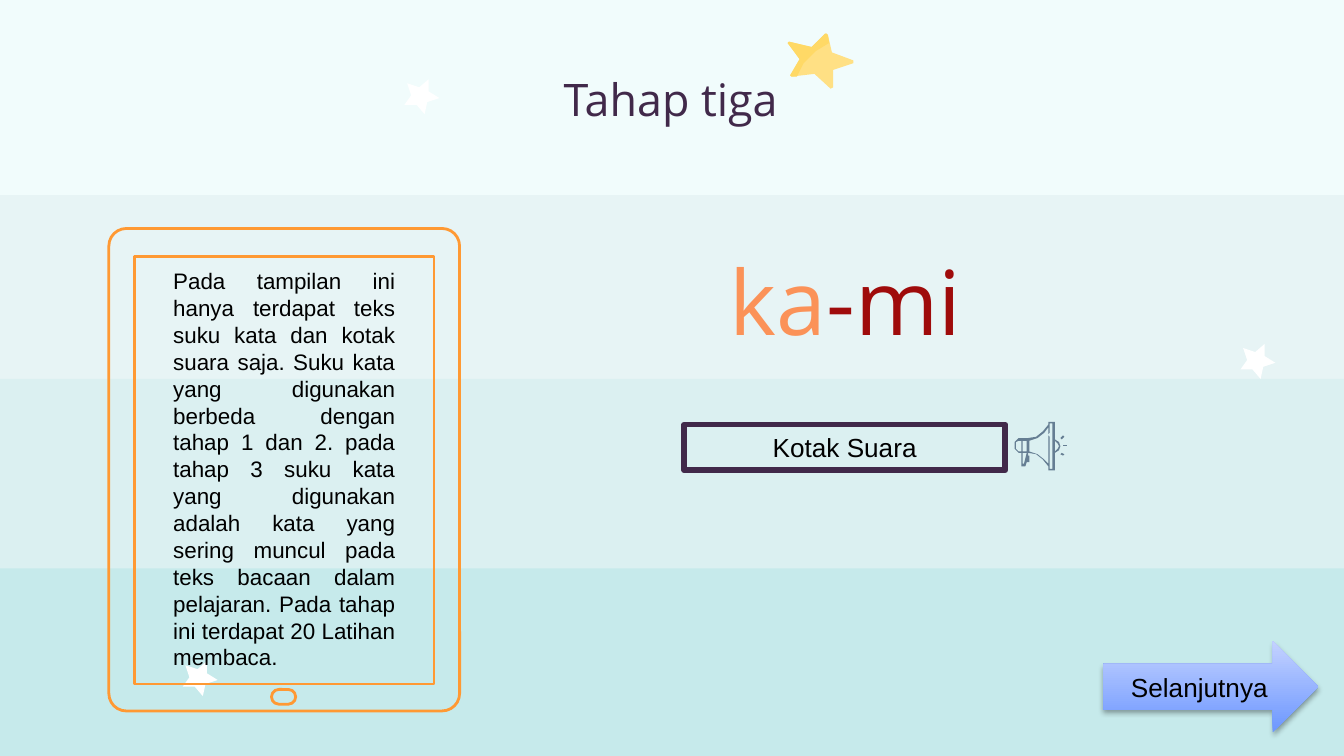
from dataclasses import dataclass
from typing import Optional

import pptx
import pptx.dml.color
import pptx.enum.shapes
import pptx.enum.text
import pptx.oxml
import pptx.oxml.ns
import pptx.util

PX = 9144  # EMU in one px, 100 px to the inch
SHAPE = pptx.enum.shapes.MSO_SHAPE
ALIGN = pptx.enum.text.PP_ALIGN
ANCHOR = pptx.enum.text.MSO_ANCHOR

Point = tuple[int, int]
Contour = list[Point]


@dataclass(frozen=True)
class Theme:
    background: str = "E7F4F5"
    band_top: str = "F1FCFC"
    band_middle: str = "DBF0F1"
    band_bottom: str = "C6EAEB"
    white: str = "FFFFFF"
    star_light: str = "FFE084"
    star_dark: str = "FFD966"
    plum: str = "41294A"
    orange: str = "FB9258"
    red: str = "9F0B0B"
    black: str = "000000"
    speaker: str = "657E93"
    tablet: str = "FF9933"
    arrow_start: str = "6C97FF"
    arrow_end: str = "C4D2FF"
    heading_font: str = "Open Sans"
    body_font: str = "Arial"
    title_size: int = 24
    syllable_size: int = 48
    label_size: int = 14
    body_size: int = 12


THEME = Theme()


@dataclass(frozen=True)
class Box:
    left: int
    top: int
    width: int
    height: int
    kind: SHAPE = SHAPE.RECTANGLE
    fill: Optional[str] = None
    line: Optional[str] = None
    line_width: float = 1.5
    corner: Optional[float] = None


@dataclass(frozen=True)
class Text:
    runs: list[tuple[str, str]]
    font: str
    size: int
    align: ALIGN = ALIGN.CENTER
    anchor: ANCHOR = ANCHOR.TOP
    inset: Point = (10, 5)


BANDS = [
    Box(-1, 282, 1007, 144, fill=THEME.band_middle),
    Box(-1, 423, 1007, 144, fill=THEME.band_bottom),
    Box(-1, -3, 1007, 148, fill=THEME.band_top),
]
TABLET = [
    Box(81, 170, 261, 359, SHAPE.ROUNDED_RECTANGLE, line=THEME.tablet, corner=0.05),
    Box(100, 191, 223, 318, line=THEME.tablet),
    Box(202, 513, 18, 11, SHAPE.ROUNDED_RECTANGLE, line=THEME.tablet, corner=0.5),
]
WHITE_STARS = [(136, 492), (923, 256), (301, 59)]
WHITE_STAR: Contour = [(18, 0), (18, 9), (26, 14), (17, 17), (15, 26),
                       (9, 19), (0, 19), (5, 12), (2, 3), (11, 6)]
STAR_LEFT: Contour = [(615, 25), (614, 25), (604, 35), (587, 31), (586, 32),
                      (595, 44), (588, 56), (589, 57)]
STAR_BODY: Contour = STAR_LEFT + [(606, 55), (618, 66), (620, 65), (620, 52),
                                  (635, 47), (635, 45), (619, 39), (616, 26)]
STAR_SHADE: Contour = STAR_LEFT + [(593, 57), (598, 47), (607, 38), (617, 32), (616, 26)]

# The first contour is the outline, the others are holes in it.
SPEAKER: list[Contour] = [
    [(780, 314), (780, 316), (776, 321), (771, 325), (765, 326), (758, 326),
     (755, 329), (755, 334), (758, 337), (760, 337), (760, 347), (763, 347),
     (764, 344), (766, 344), (766, 339), (765, 339), (765, 337), (771, 338),
     (776, 342), (780, 347), (780, 350), (785, 350), (785, 337), (788, 335),
     (789, 332), (788, 329), (785, 327), (785, 314)],
    [(785, 328), (787, 330), (788, 332), (787, 334), (785, 336)],
    [(760, 328), (760, 336), (758, 336), (756, 334), (756, 329), (758, 328)],
    [(764, 328), (764, 336), (761, 336), (761, 328)],
    [(764, 337), (762, 345), (761, 345), (761, 337)],
    [(783, 315), (783, 349), (781, 349), (781, 325), (780, 324), (780, 345),
     (777, 342), (772, 338), (766, 336), (766, 328), (772, 326), (777, 322),
     (780, 318), (780, 323), (781, 322), (781, 315)],
]
SOUND_RAYS: list[Contour] = [
    [(791, 331), (791, 332), (794, 332), (794, 331)],
    [(791, 324), (789, 326), (790, 327), (792, 325)],
    [(790, 337), (789, 338), (791, 339), (792, 338)],
]


def color(value: str) -> pptx.dml.color.RGBColor:
    return pptx.dml.color.RGBColor.from_string(value)


def paint(shape, fill: Optional[str], line: Optional[str] = None, width: float = 1.5) -> None:
    shape.shadow.inherit = False
    if fill:
        shape.fill.solid()
        shape.fill.fore_color.rgb = color(fill)
    else:
        shape.fill.background()
    if line:
        shape.line.color.rgb = color(line)
        shape.line.width = pptx.util.Pt(width)
    else:
        shape.line.fill.background()


def add_box(slide, box: Box):
    shape = slide.shapes.add_shape(
        box.kind, box.left * PX, box.top * PX, box.width * PX, box.height * PX)
    if box.corner is not None:
        shape.adjustments[0] = box.corner
    paint(shape, box.fill, box.line, box.line_width)
    return shape


def add_outline(slide, contours: list[Contour], fill: str) -> None:
    """Draw closed contours as one filled freeform."""
    builder = slide.shapes.build_freeform(*contours[0][0], scale=PX)
    for index, contour in enumerate(contours):
        if index:
            builder.move_to(*contour[0])
        builder.add_line_segments(contour[1:], close=True)
    paint(builder.convert_to_shape(), fill)


def write(shape, text: Text) -> None:
    frame = shape.text_frame
    frame.word_wrap = True
    frame.vertical_anchor = text.anchor
    frame.margin_left = frame.margin_right = text.inset[0] * PX
    frame.margin_top = frame.margin_bottom = text.inset[1] * PX
    paragraph = frame.paragraphs[0]
    paragraph.alignment = text.align
    paragraph.font.name = text.font
    paragraph.font.size = pptx.util.Pt(text.size)
    for words, run_color in text.runs:
        run = paragraph.add_run()
        run.text = words
        run.font.color.rgb = color(run_color)


def add_text(slide, left: int, top: int, width: int, height: int, text: Text) -> None:
    write(slide.shapes.add_textbox(left * PX, top * PX, width * PX, height * PX), text)


def label(words: str, anchor: ANCHOR) -> Text:
    return Text([(words, THEME.black)], THEME.body_font, THEME.label_size, anchor=anchor)


def add_next_arrow(slide) -> None:
    arrow = add_box(slide, Box(821, 477, 160, 68, SHAPE.RIGHT_ARROW))
    arrow.fill.gradient()
    arrow.fill.gradient_angle = 90
    for stop, value in zip(arrow.fill.gradient_stops, (THEME.arrow_start, THEME.arrow_end)):
        stop.color.rgb = color(value)
    effects = arrow.element.spPr.find(pptx.oxml.ns.qn("a:effectLst"))
    effects.append(pptx.oxml.parse_xml(
        f'<a:outerShdw {pptx.oxml.ns.nsdecls("a")} blurRad="39370" dist="22860" '
        f'dir="5400000" rotWithShape="0"><a:srgbClr val="{THEME.black}">'
        '<a:alpha val="35000"/></a:srgbClr></a:outerShdw>'))
    write(arrow, label("Selanjutnya", ANCHOR.MIDDLE))


def main() -> None:
    presentation = pptx.Presentation()
    presentation.slide_width = 1000 * PX
    presentation.slide_height = pptx.util.Inches(5.625)
    slide = presentation.slides.add_slide(presentation.slide_layouts[6])
    slide.background.fill.solid()
    slide.background.fill.fore_color.rgb = color(THEME.background)

    for band in BANDS:
        add_box(slide, band)
    for left, top in WHITE_STARS:
        add_outline(slide, [[(left + x, top + y) for x, y in WHITE_STAR]], THEME.white)

    add_text(slide, 79, 43, 840, 45, Text(
        [("Tahap tiga", THEME.plum)], THEME.heading_font, THEME.title_size, inset=(10, 10)))
    add_outline(slide, [STAR_BODY], THEME.star_light)
    add_outline(slide, [STAR_SHADE], THEME.star_dark)

    add_text(slide, 386, 155, 486, 136, Text(
        [("ka", THEME.orange), ("-mi", THEME.red)], THEME.heading_font,
        THEME.syllable_size, anchor=ANCHOR.MIDDLE, inset=(10, 10)))
    sound_box = add_box(slide, Box(509, 316, 239, 34, line=THEME.plum, line_width=3))
    write(sound_box, label("Kotak Suara", ANCHOR.TOP))
    add_next_arrow(slide)

    for contours in [SPEAKER, *([ray] for ray in SOUND_RAYS)]:
        add_outline(slide, contours, THEME.speaker)
    for part in TABLET:
        add_box(slide, part)
    add_text(slide, 119, 194, 185, 313, Text(
        [("Pada tampilan ini hanya terdapat teks suku kata dan kotak suara saja. "
          "Suku kata yang digunakan berbeda dengan tahap 1 dan 2. pada tahap 3 "
          "suku kata yang digunakan adalah kata yang sering muncul pada teks "
          "bacaan dalam pelajaran. Pada tahap ini terdapat 20 Latihan membaca.",
          THEME.black)],
        THEME.body_font, THEME.body_size, ALIGN.JUSTIFY))

    presentation.save("out.pptx")


if __name__ == "__main__":
    main()
